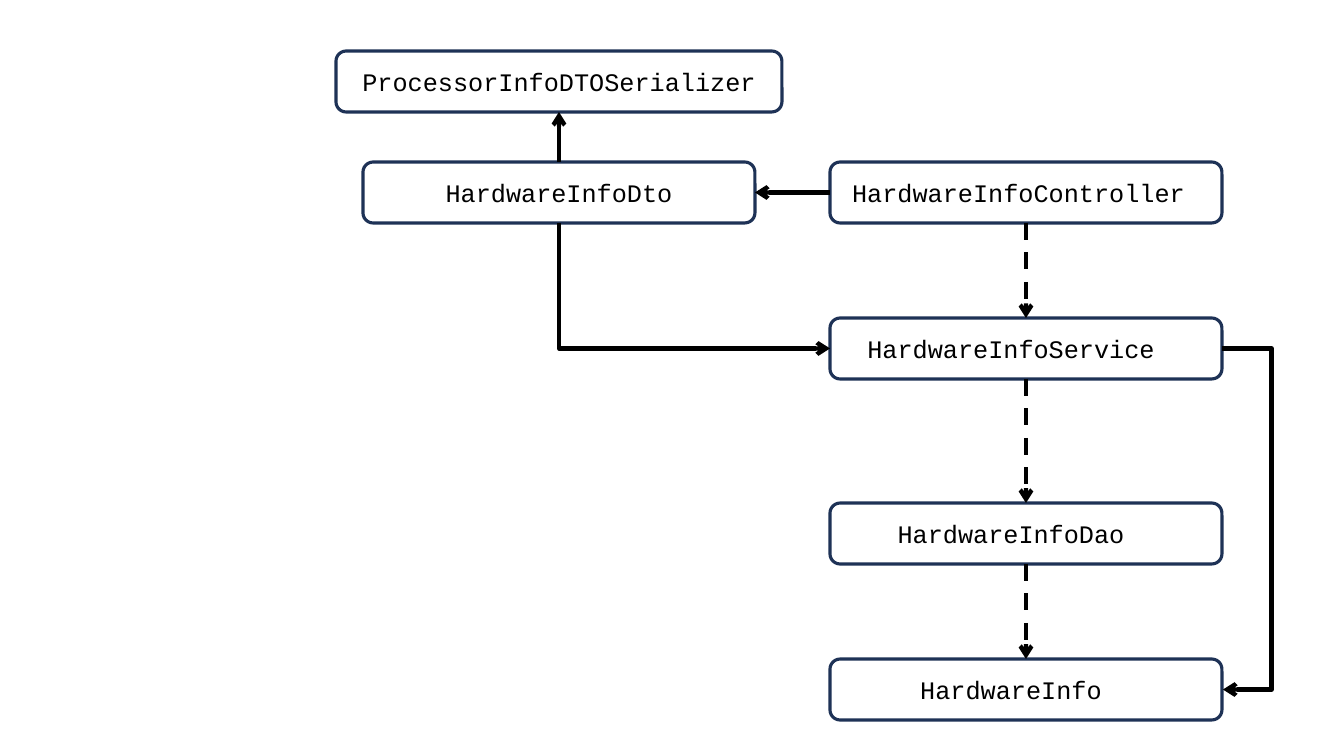
"""Build a class diagram slide for the hardware information components."""
import pptx
import pptx.util
import pptx.dml.color
import pptx.enum.dml
import pptx.enum.shapes
import pptx.enum.text
import pptx.oxml
import pptx.oxml.ns

SLIDE = (1344, 756)
BOX_HEIGHT = 61
INSET = 10
CLASSES = {
    "ProcessorInfoDTOSerializer": dict(left=336, top=51, width=446, shift=0),
    "HardwareInfoDto": dict(left=363, top=162, width=392, shift=0),
    "HardwareInfoController": dict(left=830, top=162, width=392, shift=15),
    "HardwareInfoService": dict(left=830, top=318, width=392, shift=30),
    "HardwareInfoDao": dict(left=830, top=503, width=392, shift=30),
    "HardwareInfo": dict(left=830, top=659, width=392, shift=30),
}
SITES = {"top": 0, "left": 1, "bottom": 2, "right": 3}
ARROWS = [
    ("HardwareInfoController", "bottom", "HardwareInfoService", "top", "dashed"),
    ("HardwareInfoService", "bottom", "HardwareInfoDao", "top", "dashed"),
    ("HardwareInfoDao", "bottom", "HardwareInfo", "top", "dashed"),
    ("HardwareInfoController", "left", "HardwareInfoDto", "right", "solid"),
    ("HardwareInfoDto", "top", "ProcessorInfoDTOSerializer", "bottom", "solid"),
    ("HardwareInfoDto", "bottom", "HardwareInfoService", "left", "corner"),
    ("HardwareInfoService", "right", "HardwareInfo", "right", "detour"),
]
DETOUR = 50
THEME = {
    "font": "Courier New", "size": 18, "text": "000000", "fill": "FFFFFF",
    "border": "1E3256", "border_width": 2.25, "arrow": "000000", "arrow_width": 3,
}


def px(length):
    return pptx.util.Emu(round(length * 914400 / 100.8))


def color(name):
    return pptx.dml.color.RGBColor.from_string(THEME[name])


def add_child(parent, tag, **attributes):
    child = pptx.oxml.parse_xml(f"<a:{tag} {pptx.oxml.ns.nsdecls('a')}/>")
    for key, value in attributes.items():
        child.set(key, value)
    parent.append(child)


def add_box(page, name, left, top, width, shift):
    box = page.shapes.add_shape(
        pptx.enum.shapes.MSO_SHAPE.ROUNDED_RECTANGLE,
        px(left), px(top), px(width), px(BOX_HEIGHT))
    box.shadow.inherit = False
    box.fill.solid()
    box.fill.fore_color.rgb = color("fill")
    box.line.color.rgb = color("border")
    box.line.width = pptx.util.Pt(THEME["border_width"])
    frame = box.text_frame
    frame.word_wrap = True
    frame.vertical_anchor = pptx.enum.text.MSO_ANCHOR.MIDDLE
    frame.margin_left = px(INSET)
    frame.margin_right = px(INSET + shift)
    frame.text = name
    para = frame.paragraphs[0]
    para.alignment = pptx.enum.text.PP_ALIGN.CENTER
    span = para.runs[0]
    span.font.name = THEME["font"]
    span.font.size = pptx.util.Pt(THEME["size"])
    span.font.color.rgb = color("text")
    return box


def bend_corner(arrow):
    across, down = arrow.width, arrow.height
    arrow.left += (across - down) // 2
    arrow.top += (down - across) // 2
    arrow.width, arrow.height = down, across
    properties = arrow._element.spPr
    properties.xfrm.set("rot", str(270 * 60000))
    properties.xfrm.set("flipH", "1")
    properties.prstGeom.set("prst", "bentConnector2")


def bend_detour(arrow):
    arrow.end_x = arrow.begin_x + px(1)
    guides = arrow._element.spPr.prstGeom.get_or_add_avLst()
    add_child(guides, "gd", name="adj1", fmla=f"val {DETOUR * 100000}")


def add_arrow(page, start, start_side, end, end_side, style):
    kinds = pptx.enum.shapes.MSO_CONNECTOR
    kind = kinds.ELBOW if style in ("corner", "detour") else kinds.STRAIGHT
    arrow = page.shapes.add_connector(kind, 0, 0, 0, 0)
    arrow.begin_connect(start, SITES[start_side])
    arrow.end_connect(end, SITES[end_side])
    if style == "corner":
        bend_corner(arrow)
    elif style == "detour":
        bend_detour(arrow)
    arrow.line.color.rgb = color("arrow")
    arrow.line.width = pptx.util.Pt(THEME["arrow_width"])
    if style == "dashed":
        arrow.line.dash_style = pptx.enum.dml.MSO_LINE.DASH
    properties = arrow._element.spPr
    add_child(properties.ln, "tailEnd", type="arrow")
    add_child(properties, "effectLst")


def main():
    deck = pptx.Presentation()
    deck.slide_width, deck.slide_height = map(px, SLIDE)
    page = deck.slides.add_slide(deck.slide_layouts[6])
    boxes = {name: add_box(page, name, **place) for name, place in CLASSES.items()}
    for start, start_side, end, end_side, style in ARROWS:
        add_arrow(page, boxes[start], start_side, boxes[end], end_side, style)
    deck.save("out.pptx")


if __name__ == "__main__":
    main()
